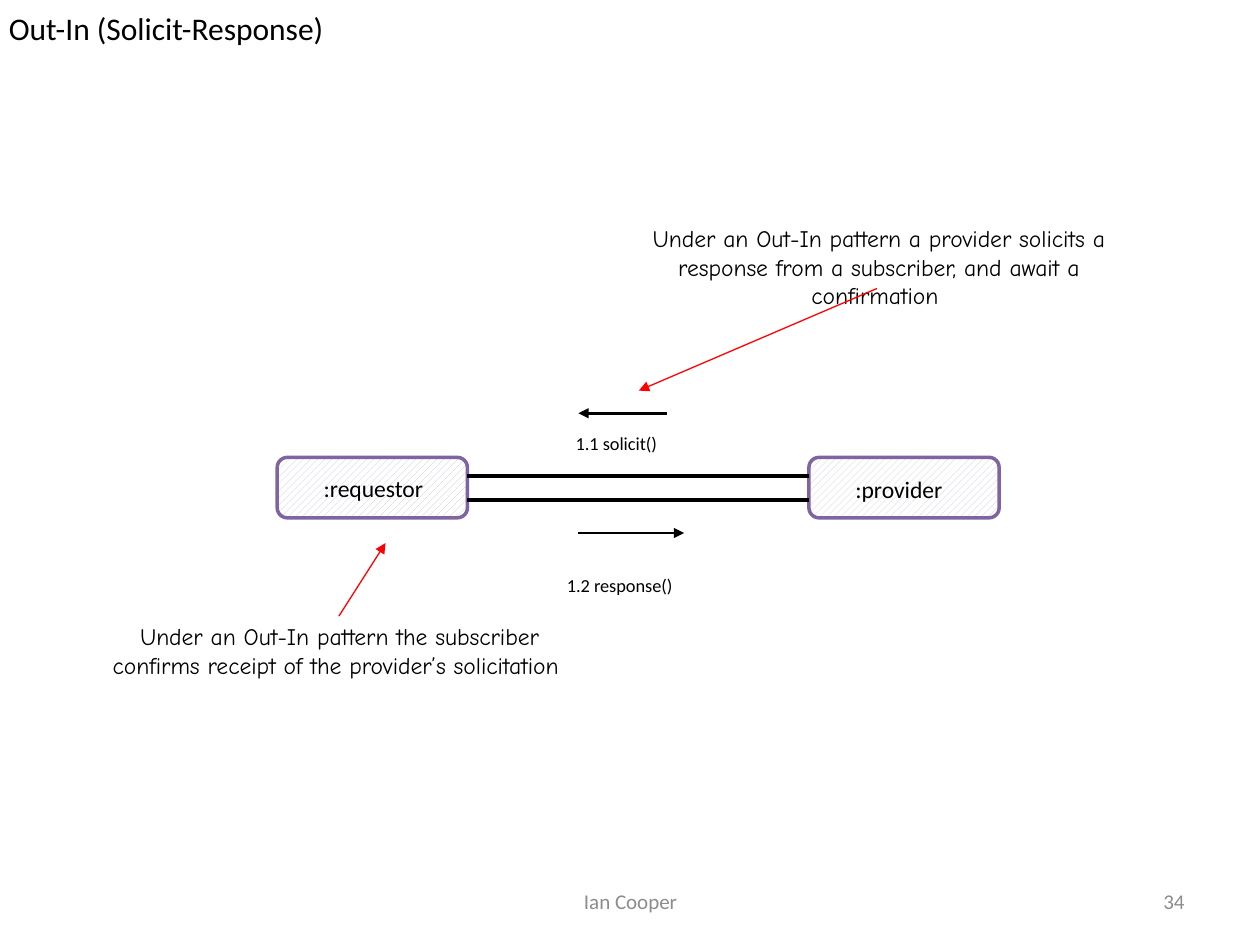
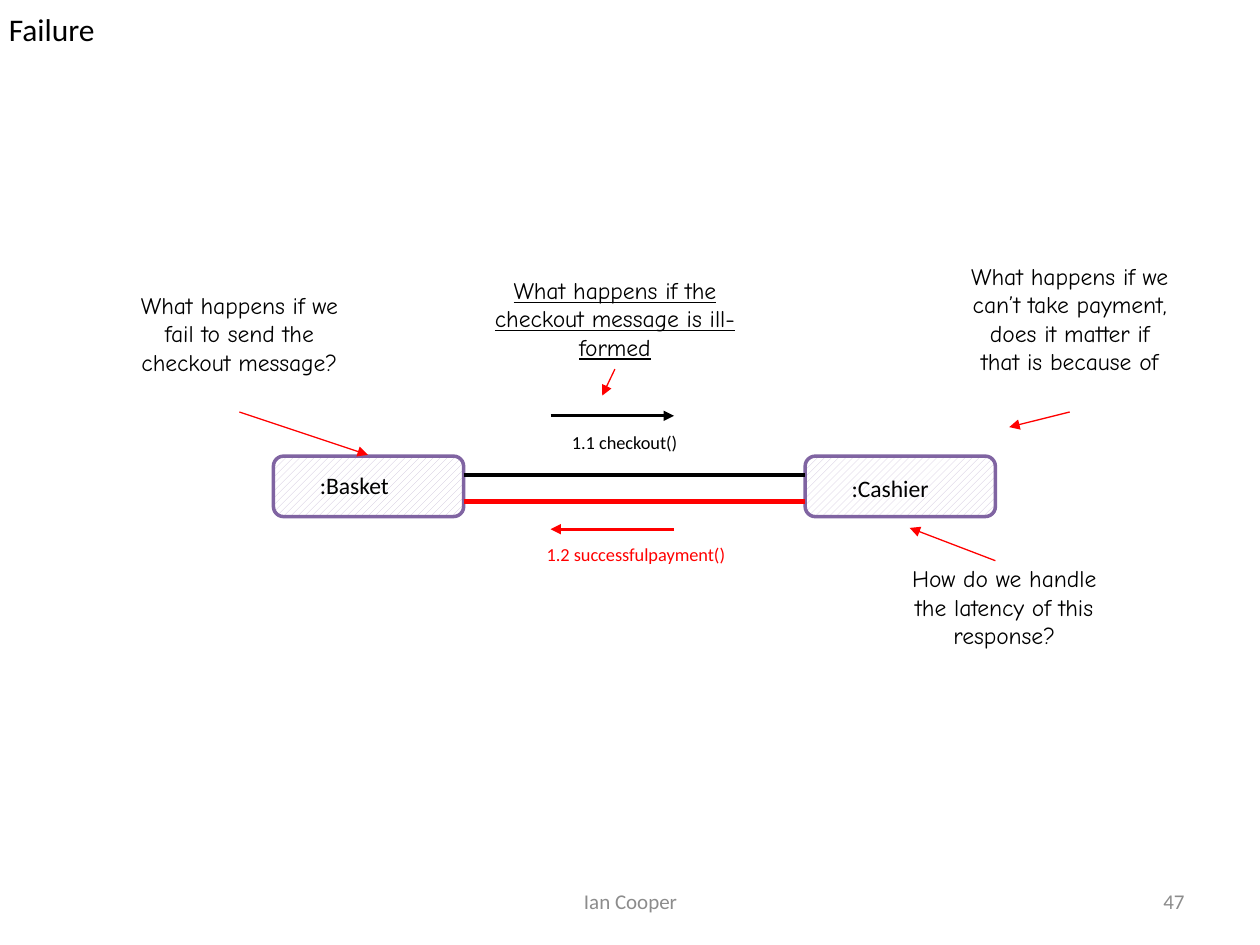
from dataclasses import dataclass

from lxml.etree import SubElement
from pptx import Presentation
from pptx.dml.color import RGBColor
from pptx.enum.dml import MSO_PATTERN as Pattern
from pptx.enum.shapes import MSO_CONNECTOR as Connector, MSO_SHAPE as Shape
from pptx.enum.text import MSO_ANCHOR as Anchor, MSO_AUTO_SIZE as AutoSize, PP_ALIGN as Align
from pptx.oxml.ns import qn
from pptx.slide import Slide
from pptx.util import Inches, Pt

COLORS = {
    "ink": "000000",
    "alert": "FF0000",
    "footer": "8C8C8C",
    "border": "8064A2",
    "hatch": "CCC1DA",
    "paper": "FFFFFF",
}
BODY_FONT = "Calibri"
NOTE_FONT = "Comic Neue"
PAGE_WIDTH, PAGE_HEIGHT = Inches(10), Inches(7.5)
COLUMN, ROW = PAGE_WIDTH / 100, PAGE_HEIGHT / 75

BOX_WIDTH, BOX_HEIGHT = 15.1, 4.8
BOX_PITCH = 42.2
LABEL_INSET = 2.7
FOOTER_ROW = 69.5


@dataclass(frozen=True)
class Area:
    column: float
    row: float
    columns: float
    rows: float


@dataclass(frozen=True)
class TextStyle:
    size: float
    font: str = BODY_FONT
    color: str = "ink"
    align: Align = Align.LEFT
    anchor: Anchor = Anchor.TOP
    underline: bool = False
    inset: float | None = None
    grows: bool = True


@dataclass(frozen=True)
class Line:
    start: tuple[float, float]
    end: tuple[float, float]
    color: str = "ink"
    weight: float = 1.5
    arrow: bool = True


@dataclass(frozen=True)
class Message:
    text: str
    label: Area
    arrow_from: float
    arrow_to: float
    arrow_row: float
    wire_row: float
    color: str = "ink"


@dataclass(frozen=True)
class Note:
    text: str
    area: Area
    pointer_from: tuple[float, float]
    pointer_to: tuple[float, float]
    underline: bool = False


@dataclass(frozen=True)
class Exchange:
    title: str
    title_row: float
    number: int
    left: float
    top: float
    participants: tuple[str, str]
    label_rows: tuple[float, float]
    messages: tuple[Message, ...]
    notes: tuple[Note, ...]


TITLE = TextStyle(18, inset=0.07)
LABEL = TextStyle(13.5)


def footer_style(align: Align) -> TextStyle:
    return TextStyle(12, color="footer", align=align, anchor=Anchor.MIDDLE, grows=False)


def color_of(name: str) -> RGBColor:
    return RGBColor.from_string(COLORS[name])


def place(area: Area) -> tuple[int, int, int, int]:
    return (round(area.column * COLUMN), round(area.row * ROW),
            round(area.columns * COLUMN), round(area.rows * ROW))


def add_text(page: Slide, text: str, area: Area, style: TextStyle) -> None:
    frame = page.shapes.add_textbox(*place(area)).text_frame
    frame.word_wrap = True
    frame.auto_size = AutoSize.SHAPE_TO_FIT_TEXT if style.grows else AutoSize.NONE
    frame.vertical_anchor = style.anchor
    if style.inset is not None:
        frame.margin_left = frame.margin_right = Inches(style.inset)
        frame.margin_top = frame.margin_bottom = Inches(style.inset)
    frame.text = text
    para = frame.paragraphs[0]
    para.alignment = style.align
    for span in para.runs:
        span.font.name = style.font
        span.font.size = Pt(style.size)
        span.font.color.rgb = color_of(style.color)
        if style.underline:
            span.font.underline = True


def add_line(page: Slide, line: Line) -> None:
    ends = [round(length) for column, row in (line.start, line.end)
            for length in (column * COLUMN, row * ROW)]
    connector = page.shapes.add_connector(Connector.STRAIGHT, *ends)
    connector.line.color.rgb = color_of(line.color)
    connector.line.width = Pt(line.weight)
    properties = connector._element.spPr
    if line.arrow:
        SubElement(properties.find(qn("a:ln")), qn("a:tailEnd"), type="triangle")
    SubElement(properties, qn("a:effectLst"))


def add_participant(page: Slide, name: str, left: float, top: float, label_row: float) -> None:
    area = Area(left, top, BOX_WIDTH, BOX_HEIGHT)
    box = page.shapes.add_shape(Shape.ROUNDED_RECTANGLE, *place(area))
    box.shadow.inherit = False
    box.fill.patterned()
    box.fill.pattern = Pattern.WIDE_UPWARD_DIAGONAL
    box.fill.fore_color.rgb = color_of("hatch")
    box.fill.back_color.rgb = color_of("paper")
    box.line.color.rgb = color_of("border")
    box.line.width = Pt(2)
    add_text(page, name, Area(left + LABEL_INSET, label_row, 10.2, 3.3), LABEL)


def add_message(page: Slide, message: Message, left: float) -> None:
    wire = Line((left + BOX_WIDTH, message.wire_row), (left + BOX_PITCH, message.wire_row),
                message.color, 2.5, arrow=False)
    arrow = Line((message.arrow_from, message.arrow_row),
                 (message.arrow_to, message.arrow_row), message.color)
    add_line(page, wire)
    add_line(page, arrow)
    add_text(page, message.text, message.label, TextStyle(10.5, color=message.color))


def add_note(page: Slide, note: Note) -> None:
    style = TextStyle(13.5, NOTE_FONT, align=Align.CENTER, underline=note.underline)
    add_text(page, note.text, note.area, style)
    add_line(page, Line(note.pointer_from, note.pointer_to, "alert", 0.75))


def add_frame(page: Slide, exchange: Exchange) -> None:
    add_text(page, exchange.title, Area(0, exchange.title_row, 100, 4.5), TITLE)
    add_text(page, "Ian Cooper", Area(34.2, FOOTER_ROW, 31.7, 4), footer_style(Align.CENTER))
    add_text(page, str(exchange.number), Area(71.7, FOOTER_ROW, 23.3, 4),
             footer_style(Align.RIGHT))


def add_exchange(page: Slide, exchange: Exchange) -> None:
    add_frame(page, exchange)
    for index, name in enumerate(exchange.participants):
        add_participant(page, name, exchange.left + index * BOX_PITCH, exchange.top,
                        exchange.label_rows[index])
    for message in exchange.messages:
        add_message(page, message, exchange.left)
    for note in exchange.notes:
        add_note(page, note)


EXCHANGES = (
    Exchange(
        "Out-In (Solicit-Response)", 0, 34, 22, 36.3,
        (":requestor", ":provider"), (37.1, 37.2),
        (
            Message("1.1 solicit()", Area(44.7, 33.8, 11.7, 2.8), 52.9, 45.9, 32.8, 37.8),
            Message("1.2 response()", Area(44, 45.1, 16.1, 2.8), 45.9, 54.3, 42.3, 39.7),
        ),
        (
            Note("Under an Out-In pattern a provider solicits a response from a subscriber, "
                 "and await a confirmation ",
                 Area(50.7, 17.3, 38.1, 7.8), (69.6, 22.9), (50.7, 31)),
            Note("Under an Out-In pattern the subscriber confirms receipt of the "
                 "provider’s solicitation ",
                 Area(7.9, 48.9, 38.1, 7.8), (26.9, 48.9), (30.6, 43.1)),
        ),
    ),
    Exchange(
        "Failure", 0.1, 47, 21.7, 36.2,
        (":Basket", ":Cashier"), (36.9, 37.1),
        (
            Message("1.1 checkout()", Area(44.4, 33.7, 10.5, 2.8), 43.7, 53.5, 33, 37.7),
            Message("1.2 successfulpayment()", Area(42.4, 42.6, 17, 2.8),
                    53.5, 43.7, 42, 39.8, "alert"),
        ),
        (
            Note("What happens if we can’t take payment, does it matter if that is because of",
                 Area(75.8, 20.3, 18.2, 12.4), (84.9, 32.7), (80.1, 33.9)),
            Note("What happens if we fail to send the checkout message?",
                 Area(9.9, 22.6, 18.2, 10.1), (19, 32.7), (29.2, 36.1)),
            Note("What happens if the checkout message is ill-formed",
                 Area(37.4, 21.4, 22.8, 7.8), (48.8, 29.3), (47.8, 31.4), underline=True),
            Note("How do we handle the latency of this response?",
                 Area(70.6, 44.3, 18.2, 7.8), (79, 44.5), (72.2, 41.9)),
        ),
    ),
)


def main() -> None:
    deck = Presentation()
    deck.slide_width, deck.slide_height = PAGE_WIDTH, PAGE_HEIGHT
    for exchange in EXCHANGES:
        add_exchange(deck.slides.add_slide(deck.slide_layouts[6]), exchange)
    deck.save("out.pptx")


if __name__ == "__main__":
    main()
